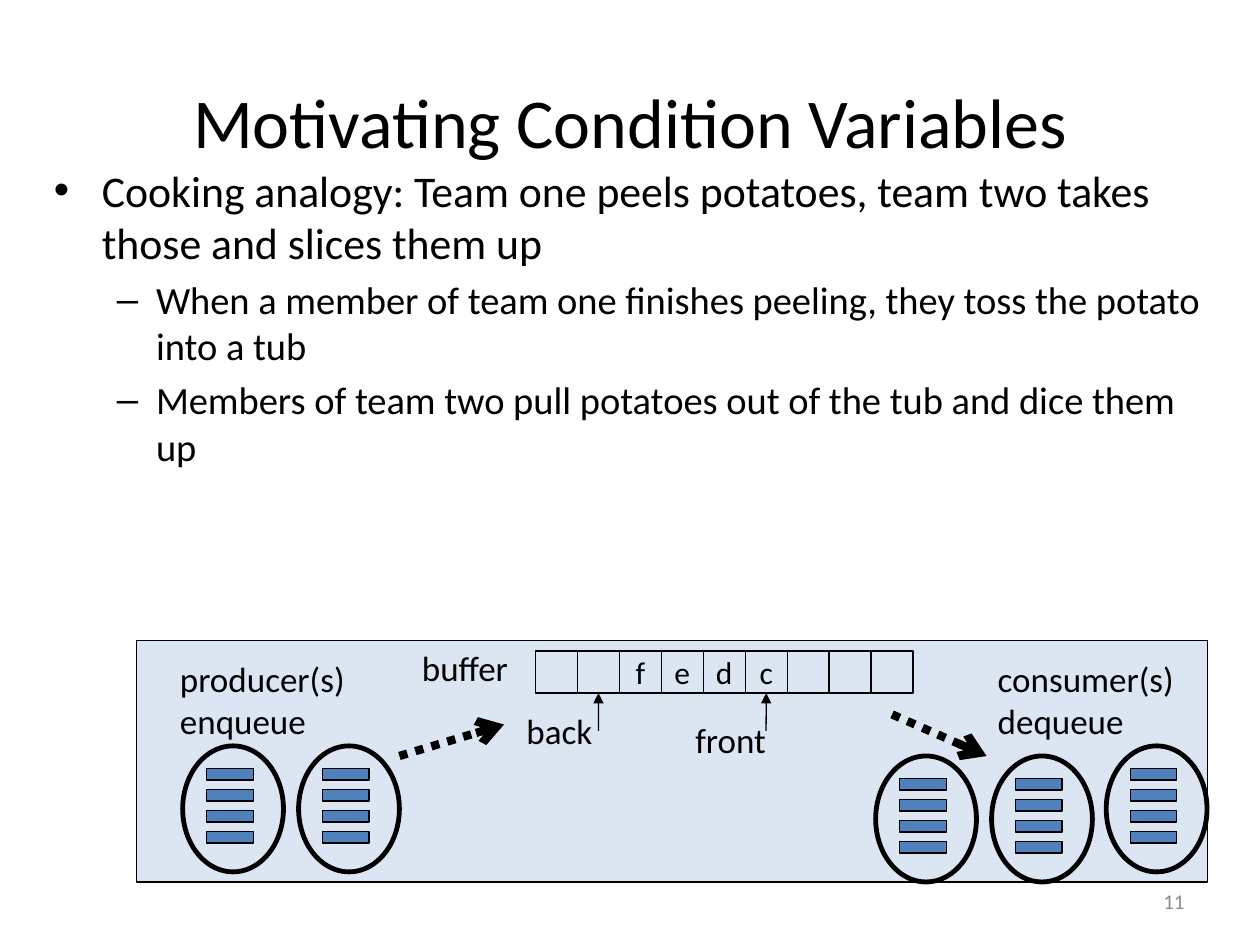
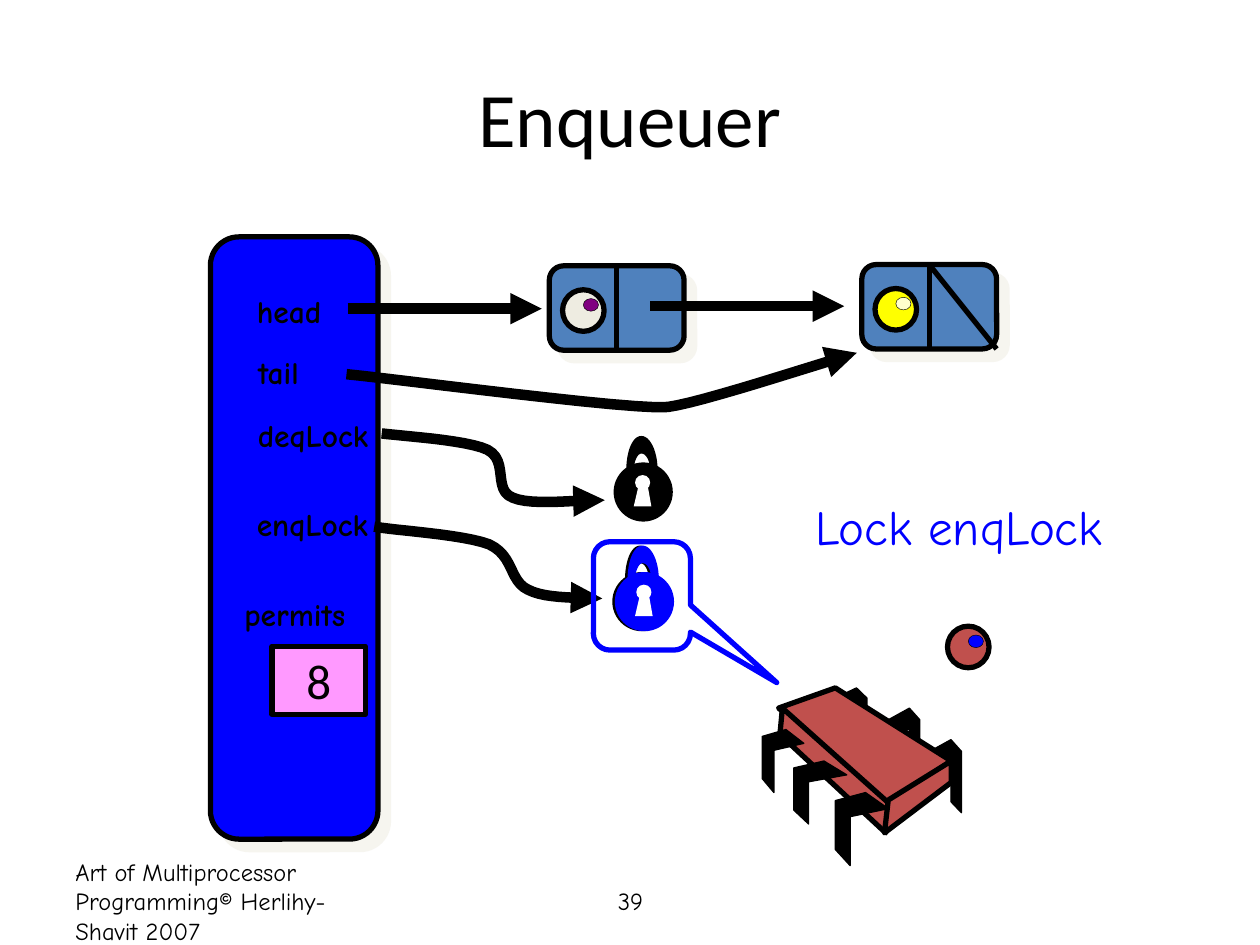
from dataclasses import dataclass

from lxml import etree
from pptx import Presentation, util as u
from pptx.dml.color import RGBColor
from pptx.enum import dml, shapes, text
from pptx.oxml.ns import qn

COLUMNS, ROWS = 100, 75


@dataclass(frozen=True)
class Theme:
    font: str = "Calibri"
    comic: str = "Comic Neue"
    black: str = "000000"
    white: str = "FFFFFF"
    gray: str = "8C8C8C"
    panel: str = "DCE6F2"
    steel: str = "4F81BD"
    blue: str = "0000FF"
    cream: str = "EEECE1"
    purple: str = "800080"
    yellow: str = "FFFF00"
    pale_yellow: str = "FFFFCC"
    pink: str = "FF99FF"
    brick: str = "C0504D"
    title: int = 40
    big_title: int = 44
    callout: int = 28
    body: int = 25
    sub_body: int = 22
    label: int = 20
    cell: int = 18
    footer: int = 14
    page: int = 12
    hairline: float = 0.25
    thin: float = 0.75
    ring: float = 2.75
    medium: float = 3
    dotted: float = 4.75
    thick: float = 6


THEME = Theme()
PRESET = shapes.MSO_SHAPE
ALIGN = text.PP_ALIGN
MIDDLE = text.MSO_ANCHOR.MIDDLE


def within(box, shares):
    """Turn shares of a box into grid points."""
    left, top, width, height = box
    return [(left + x * width, top + y * height) for x, y in shares]


def curve(start, *segments, steps=12):
    """Points along cubic Bezier segments, each given as two handles and an end."""
    points = [start]
    for handle_a, handle_b, end in segments:
        corners = (points[-1], handle_a, handle_b, end)
        for step in range(1, steps + 1):
            t = step / steps
            weights = ((1 - t) ** 3, 3 * t * (1 - t) ** 2, 3 * t * t * (1 - t), t ** 3)
            points.append(tuple(sum(w * c[axis] for w, c in zip(weights, corners))
                                for axis in (0, 1)))
    return points


def write(shape, content, size, font=THEME.font, color=THEME.black, bold=False,
          align=ALIGN.LEFT, bullet=None, indent=(0, 0), space=0):
    """Append one paragraph per line; indent is the left margin and first-line shift in inches."""
    frame = shape.text_frame
    for line in content.split("\n"):
        first = not frame.paragraphs[0].runs
        paragraph = frame.paragraphs[0] if first else frame.add_paragraph()
        paragraph.alignment = align
        if not first:
            paragraph.space_before = u.Pt(space)
        if bullet:
            properties = paragraph._p.get_or_add_pPr()
            properties.set("marL", str(u.Inches(indent[0])))
            properties.set("indent", str(u.Inches(indent[1])))
            etree.SubElement(properties, qn("a:buFont"), typeface="Arial")
            etree.SubElement(properties, qn("a:buChar"), char=bullet)
        run = paragraph.add_run()
        run.text = line
        run.font.name, run.font.size, run.font.bold = font, u.Pt(size), bold
        run.font.color.rgb = RGBColor.from_string(color)


class Deck:
    """Draws on the current slide in grid units of COLUMNS by ROWS."""

    def __init__(self):
        self.presentation = Presentation()
        self.presentation.slide_width = u.Inches(10)
        self.presentation.slide_height = u.Inches(7.5)

    def add_slide(self, title, box, size):
        self.slide = self.presentation.slides.add_slide(self.presentation.slide_layouts[6])
        self.end_group()
        self.text(box, title, size, align=ALIGN.CENTER, anchor=MIDDLE)

    def start_group(self):
        self.canvas = self.slide.shapes.add_group_shape().shapes

    def end_group(self):
        self.canvas = self.slide.shapes

    def x(self, columns):
        return round(self.presentation.slide_width * columns / COLUMNS)

    def y(self, rows):
        return round(self.presentation.slide_height * rows / ROWS)

    def place(self, box):
        left, top, width, height = box
        return self.x(left), self.y(top), self.x(width), self.y(height)

    def paint(self, shape, fill, line, width):
        shape.shadow.inherit = False
        if fill:
            shape.fill.solid()
            shape.fill.fore_color.rgb = RGBColor.from_string(fill)
        else:
            shape.fill.background()
        if line:
            shape.line.color.rgb = RGBColor.from_string(line)
            shape.line.width = u.Pt(width)
        else:
            shape.line.fill.background()
        return shape

    def shape(self, kind, box, fill=None, line=THEME.black, width=THEME.thin, adjust=()):
        shape = self.canvas.add_shape(kind, *self.place(box))
        for index, value in enumerate(adjust):
            shape.adjustments[index] = value
        return self.paint(shape, fill, line, width)

    def outline(self, points, fill=None, line=THEME.black, width=THEME.thin, tail=None):
        """Filled outlines are closed; without a fill the path stays open."""
        corners = [(self.x(x), self.y(y)) for x, y in points]
        builder = self.canvas.build_freeform(*corners[0])
        builder.add_line_segments(corners[1:], close=bool(fill))
        shape = self.paint(builder.convert_to_shape(), fill, line, width)
        self.arrowhead(shape, tail)

    def arrowhead(self, shape, kind):
        if kind:
            etree.SubElement(shape._element.spPr.find(qn("a:ln")), qn("a:tailEnd"), type=kind)

    def line(self, start, end, width=THEME.thin, tail=None, dash=None, begin=None, finish=None):
        """begin and finish are (shape, side) pairs to join."""
        connector = self.canvas.add_connector(
            shapes.MSO_CONNECTOR.STRAIGHT, self.x(start[0]), self.y(start[1]),
            self.x(end[0]), self.y(end[1]))
        connector.line.color.rgb = RGBColor.from_string(THEME.black)
        connector.line.width = u.Pt(width)
        if dash:
            connector.line.dash_style = dash
        self.arrowhead(connector, tail)
        etree.SubElement(connector._element.spPr, qn("a:effectLst"))
        if begin:
            connector.begin_connect(*begin)
        if finish:
            connector.end_connect(*finish)

    def text(self, box, content="", size=THEME.label, wrap=True, anchor=text.MSO_ANCHOR.TOP,
             **style):
        shape = self.canvas.add_textbox(*self.place(box))
        shape.text_frame.word_wrap = wrap
        shape.text_frame.vertical_anchor = anchor
        if content:
            write(shape, content, size, **style)
        return shape

    def caption(self, shape, content, size):
        shape.text_frame.word_wrap = False
        shape.text_frame.vertical_anchor = MIDDLE
        write(shape, content, size, align=ALIGN.CENTER)

    def card(self, box, fill):
        """Rounded rectangle with an offset cream shadow."""
        card = self.shape(PRESET.ROUNDED_RECTANGLE, box, fill, width=THEME.medium, adjust=[0.17])
        effects = card._element.spPr.find(qn("a:effectLst"))
        shadow = etree.SubElement(effects, qn("a:outerShdw"), blurRad="0",
                                  dist=str(u.Pt(8.5)), dir=str(45 * 60000), algn="ctr",
                                  rotWithShape="0")
        tint = etree.SubElement(shadow, qn("a:srgbClr"), val=THEME.cream)
        etree.SubElement(tint, qn("a:alpha"), val="50000")
        return card

    def thread(self, left, top):
        self.shape(PRESET.OVAL, (left, top, 8, 10), width=THEME.ring)
        for row in range(4):
            self.shape(PRESET.RECTANGLE, (left + 1.9, top + 1.8 + row * 1.67, 3.7, 0.9),
                       THEME.steel)

    def padlock(self, left, top, color):
        def at(*points):
            return within((left, top, 1, 1), points)

        self.start_group()
        self.shape(PRESET.OVAL, (left, top + 2.1, 4.7, 4.7), color, None)
        self.shape(PRESET.OVAL, (left + 1.7, top + 3.1, 1.2, 1.2), THEME.white, None)
        self.outline(at((1.6, 5.6), (2, 3.9), (2.7, 3.9), (3, 5.6)), THEME.white, None)
        inner = curve(*at((1.6, 2.8)), at((1.6, 2), (1.9, 1.4), (2.2, 1.4)),
                      at((2.6, 1.4), (2.9, 2), (2.9, 2.8)))
        outer = curve(*at((3.5, 2.8)), at((3.5, 1.2), (2.9, 0), (2.2, 0)),
                      at((1.5, 0), (1, 1.2), (1, 2.8)))
        self.outline(inner + outer, color, None)
        self.end_group()

    def ball(self, left, top, fill, glint):
        self.start_group()
        self.shape(PRESET.OVAL, (left, top, 3.3, 3.3), fill, width=THEME.medium)
        self.shape(PRESET.OVAL, (left + 1.65, top + 0.7, 1.2, 1), glint, width=THEME.hairline)
        self.end_group()

    def node(self, left, top, fill, glint):
        """A list node with its divider and value; returns the card."""
        self.start_group()
        card = self.card((left, top, 10.7, 6.7), THEME.steel)
        middle = left + 5.35
        self.line((middle, top), (middle, top + 6.7), THEME.medium,
                  begin=(card, 0), finish=(card, 2))
        self.end_group()
        self.ball(left + 1.05, top + 1.9, fill, glint)
        return card

    def chip(self):
        back_leg = [(0, 0.16), (0.67, 0), (1, 0.16), (1, 1), (0.67, 0.85), (0.67, 0.28), (0, 0.43)]
        front_leg = [(0.57, 0), (1, 0.22), (0.28, 0.33), (0.28, 1), (0, 0.78), (0, 0.11)]
        faces = [
            [(66.3, 54.6), (75.5, 60.4), (70.3, 63.9), (61.8, 56.2)],
            [(62.1, 56.2), (70.5, 63.7), (70.3, 66.1), (61.9, 58.3)],
            [(75.5, 60.4), (75.5, 62.1), (70.2, 66.1), (70.5, 63.5)],
        ]
        self.start_group()
        for box in [(73.8, 58.7, 2.5, 5.8), (70.5, 56.2, 2.5, 5.8), (66.3, 54.6, 2.5, 5)]:
            self.outline(within(box, back_leg), THEME.black)
        for face in faces:
            self.outline(face, THEME.brick, width=THEME.medium)
        for box in [(66.3, 62.9, 4.2, 5.8), (63, 60.4, 4.2, 5), (60.5, 57.9, 3.3, 5)]:
            self.outline(within(box, front_leg), THEME.black)
        self.end_group()


def condition_variables(deck):
    deck.add_slide("Motivating Condition Variables", (7.5, 5.8, 85, 7.5), THEME.title)
    deck.text((71.7, 69.5, 23.3, 4), "11", THEME.page, color=THEME.gray,
              align=ALIGN.RIGHT, anchor=MIDDLE)
    body = deck.text((3.3, 12.5, 94.2, 38.3))
    write(body, "Cooking analogy: Team one peels potatoes, team two takes those and slices them up",
          THEME.body, bullet="•", indent=(0.38, -0.38))
    write(body, "When a member of team one finishes peeling, they toss the potato into a tub\n"
                "Members of team two pull potatoes out of the tub and dice them up",
          THEME.sub_body, bullet="–", indent=(0.81, -0.31), space=THEME.sub_body * 0.2)

    deck.start_group()
    deck.shape(PRESET.RECTANGLE, (10.83, 50.83, 85, 19.17), THEME.panel)
    cells = []
    for index, item in enumerate(["", "", *"fedc", "", "", ""]):
        cell = deck.shape(PRESET.RECTANGLE, (42.5 + index * 3.33, 51.67, 3.33, 3.33))
        if item:
            deck.caption(cell, item, THEME.cell)
        cells.append(cell)
    for index, column in ((1, 47.5), (5, 60.8)):
        deck.line((column, 58), (column, 55), tail="triangle", finish=(cells[index], 2))
    for box, label in [((32.5, 50.8, 9.1, 4.4), "buffer"),
                       ((40.8, 55.8, 7.9, 4.4), "back"),
                       ((54.2, 56.5, 7.6, 4.4), "front"),
                       ((13.3, 51.7, 16.3, 7.7), "producer(s)\nenqueue"),
                       ((78.2, 51.7, 17.6, 7.7), "consumer(s)\ndequeue")]:
        deck.text(box, label, wrap=False)
    for left, top in [(14.5, 59.2), (23.7, 59.2), (69.5, 60), (78.7, 60), (87.8, 59.2)]:
        deck.thread(left, top)
    for start, end in [((31.7, 60), (40, 57.5)), ((70.8, 56.7), (78.3, 60))]:
        deck.line(start, end, THEME.dotted, tail="arrow", dash=dml.MSO_LINE.ROUND_DOT)
    deck.end_group()


def enqueuer(deck):
    deck.add_slide("Enqueuer", (5, 3, 90, 12.5), THEME.big_title)
    footer = dict(size=THEME.footer, font=THEME.comic, anchor=MIDDLE)
    deck.text((5, 69.5, 23.3, 4), "Art of Multiprocessor Programming© Herlihy-Shavit 2007", **footer)
    deck.text((34.2, 69.5, 31.7, 4), "39", align=ALIGN.CENTER, **footer)

    deck.padlock(48.6, 43.3, THEME.black)
    deck.padlock(48.8, 43.3, THEME.blue)
    deck.padlock(48.7, 34.6, THEME.black)
    deck.card((16.7, 18.8, 13.3, 47.8), THEME.blue)
    deck.node(43.6, 21.1, THEME.cream, THEME.purple)
    last = deck.node(68.4, 21, THEME.yellow, THEME.pale_yellow)
    deck.line((73.75, 21), (79.1, 27.7), THEME.medium, begin=(last, 0))

    for left, top, width, field in [(19.1, 22.7, 7.7, "head"), (19.1, 27.5, 6, "tail"),
                                    (19.1, 32.5, 11.5, "deqLock"), (19.1, 39.6, 11.4, "enqLock"),
                                    (17.9, 46.7, 11, "permits")]:
        deck.text((left, top, width, 4), field, THEME.cell, wrap=False, font=THEME.comic,
                  bold=True, align=ALIGN.CENTER)
    for left, top in [(27.6, 24.5), (51.6, 24.3)]:
        deck.line((left, top), (left + 15.4, top), THEME.thick, tail="triangle")
    tail_path = curve((27.5, 29.7), ((31.7, 30.1), (50.4, 32.6), (53, 32.3)),
                      ((55.5, 32), (64.9, 28.9), (68, 28)))
    deq_path = curve((30.3, 34.4), ((31.7, 34.6), (37, 34.9), (38.7, 35.7)),
                     ((40.4, 36.6), (39.1, 38.9), (40.7, 39.5)),
                     ((42.2, 40.2), (46.5, 39.6), (48, 39.7)))
    enq_path = curve((29.7, 41.8), ((31.2, 42.1), (36.7, 42.4), (38.8, 43.2)),
                     ((40.8, 44.1), (40.4, 46.1), (41.9, 46.8)),
                     ((43.4, 47.6), (46.5, 47.4), (47.8, 47.5)))
    for points in (tail_path, deq_path, enq_path):
        deck.outline(points, width=THEME.thick, tail="triangle")

    deck.shape(PRESET.ROUNDED_RECTANGULAR_CALLOUT, (47.1, 43, 7.7, 8.6), line=THEME.blue,
               width=THEME.medium, adjust=[1.39, 0.8, 0.17])
    permits = deck.shape(PRESET.RECTANGLE, (21.6, 51.3, 7.4, 5.4), THEME.pink, width=THEME.medium)
    deck.caption(permits, "8", THEME.callout)
    deck.text((57.6, 38.9, 37, 5.7), "Lock enqLock", THEME.callout, font=THEME.comic,
              color=THEME.blue, align=ALIGN.CENTER)
    deck.chip()
    deck.ball(75.2, 49.7, THEME.brick, THEME.blue)


def main():
    deck = Deck()
    condition_variables(deck)
    enqueuer(deck)
    deck.presentation.save("out.pptx")


if __name__ == "__main__":
    main()
